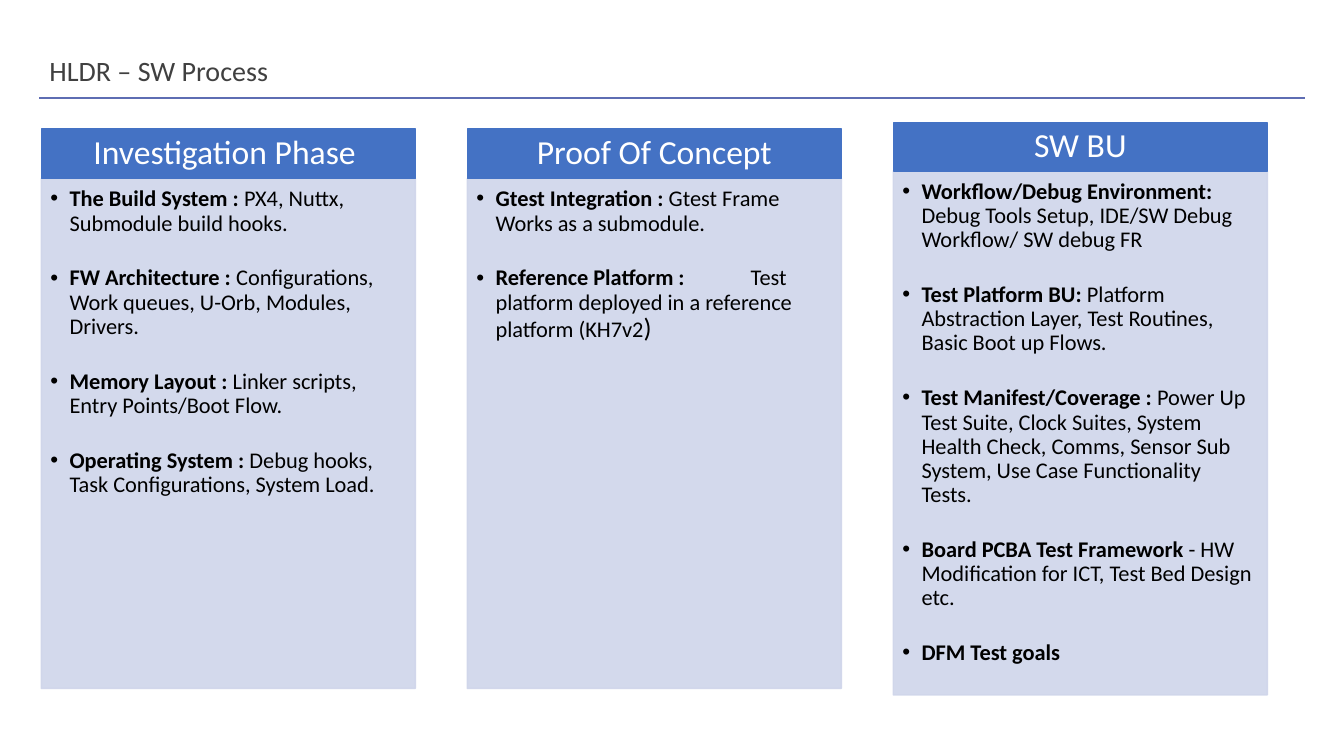
from dataclasses import dataclass
from typing import NamedTuple

from lxml import etree
from pptx import Presentation
from pptx import util as u
from pptx.dml import color
from pptx.enum import shapes, text
from pptx.oxml import ns


@dataclass(frozen=True)
class Theme:
    font: str = "Calibri"
    title_color: str = "404040"
    rule_color: str = "5E6DB3"
    head_fill: str = "4472C4"
    head_color: str = "FFFFFF"
    body_fill: str = "CFD5EA"
    body_color: str = "000000"
    body_alpha: int = 90000
    title_size: int = 20
    head_size: int = 24
    body_size: int = 16
    bracket_size: int = 19
    item_gap: int = 22


class Item(NamedTuple):
    topic: str
    detail: str = ""
    ending: str = ""  # larger closing characters


@dataclass(frozen=True)
class Phase:
    heading: str
    items: list[Item]
    top: float = 1.28
    head_height: float = 0.49
    body_height: float = 5.06


THEME = Theme()
LEFT, PITCH, WIDTH = 0.41, 4.225, 3.71
INDENT = 0.19
TAB_STOP = 2.72

PHASES = [
    Phase("Investigation Phase ", [
        Item("The Build System :", " PX4, Nuttx, Submodule build hooks."),
        Item("FW Architecture :", " Configurations, Work queues, U-Orb, Modules, Drivers."),
        Item("Memory Layout : ", "Linker scripts, Entry Points/Boot Flow."),
        Item("Operating System : ", "Debug hooks, Task Configurations, System Load."),
    ]),
    Phase("Proof Of Concept", [
        Item("Gtest Integration : ", "Gtest Frame Works as a submodule."),
        Item("Reference Platform :",
             "\tTest platform deployed in a reference platform (KH7v2", ")"),
    ]),
    Phase("SW BU", [
        Item("Workflow/Debug Environment: ",
             "Debug Tools Setup, IDE/SW Debug Workflow/ SW debug FR"),
        Item("Test Platform BU: ",
             "Platform Abstraction Layer, Test Routines, Basic Boot up Flows."),
        Item("Test Manifest/Coverage :",
             " Power Up Test Suite, Clock Suites, System Health Check, Comms, "
             "Sensor Sub System, Use Case Functionality Tests."),
        Item("Board PCBA Test Framework ",
             "- HW Modification for ICT, Test Bed Design etc."),
        Item("DFM Test goals"),
    ], top=1.22, head_height=0.475, body_height=5.2),
]


def place(box, left: float, top: float, width: float, height: float) -> None:
    box.left, box.top = u.Inches(left), u.Inches(top)
    box.width, box.height = u.Inches(width), u.Inches(height)


def paint(box, shade: str) -> None:
    box.fill.solid()
    box.fill.fore_color.rgb = color.RGBColor.from_string(shade)
    box.line.color.rgb = color.RGBColor.from_string(shade)
    box.line.width = u.Pt(1)


def set_frame(box, anchor, insets: tuple[float, float, float, float]):
    frame = box.text_frame
    frame.word_wrap = True
    frame.auto_size = text.MSO_AUTO_SIZE.NONE
    frame.vertical_anchor = anchor
    (frame.margin_left, frame.margin_top,
     frame.margin_right, frame.margin_bottom) = map(u.Inches, insets)
    return frame


def set_para(para, alignment, after: float = 0) -> None:
    para.alignment = alignment
    para.line_spacing = 0.9
    para.space_before = u.Pt(0)
    para.space_after = u.Pt(after)


def add_span(para, words: str, size: int, shade: str, bold: bool = False) -> None:
    span = para.add_run()
    span.text = words
    span.font.name = THEME.font
    span.font.size = u.Pt(size)
    span.font.bold = bold
    span.font.color.rgb = color.RGBColor.from_string(shade)


def add_bullet(para) -> None:
    props = para._p.get_or_add_pPr()
    props.set("marL", str(u.Inches(INDENT)))
    props.set("indent", str(-u.Inches(INDENT)))
    etree.SubElement(props, ns.qn("a:buFont"), typeface="Arial")
    etree.SubElement(props, ns.qn("a:buChar"), char="•")
    tabs = etree.SubElement(props, ns.qn("a:tabLst"))
    etree.SubElement(tabs, ns.qn("a:tab"), pos=str(u.Inches(TAB_STOP)), algn="l")


def draw_title(page) -> None:
    box = page.shapes.title
    place(box, 0.39, 0.52, 2.52, 0.43)
    frame = set_frame(box, text.MSO_ANCHOR.TOP, (0.1, 0.05, 0.1, 0.05))
    para = frame.paragraphs[0]
    set_para(para, text.PP_ALIGN.JUSTIFY, 2)
    add_span(para, "HLDR – SW Process", THEME.title_size, THEME.title_color)


def draw_rule(page) -> None:
    rule = page.shapes.add_connector(
        shapes.MSO_CONNECTOR.STRAIGHT,
        u.Inches(0.39), u.Inches(0.97), u.Inches(12.94), u.Inches(0.97))
    rule.line.color.rgb = color.RGBColor.from_string(THEME.rule_color)
    rule.line.width = u.Pt(1.25)
    etree.SubElement(rule._element.spPr, ns.qn("a:effectLst"))


def draw_heading(page, phase: Phase, left: float) -> None:
    box = page.shapes.add_shape(shapes.MSO_SHAPE.RECTANGLE, 0, 0, 0, 0)
    place(box, left, phase.top, WIDTH, phase.head_height)
    box.shadow.inherit = False
    paint(box, THEME.head_fill)
    frame = set_frame(box, text.MSO_ANCHOR.MIDDLE, (0.19, 0.11, 0.19, 0.11))
    para = frame.paragraphs[0]
    set_para(para, text.PP_ALIGN.CENTER)
    add_span(para, phase.heading, THEME.head_size, THEME.head_color)


def draw_list(box, phase: Phase, left: float) -> None:
    place(box, left, phase.top + phase.head_height, WIDTH, phase.body_height)
    paint(box, THEME.body_fill)
    for tint in box._element.spPr.iter(ns.qn("a:srgbClr")):
        etree.SubElement(tint, ns.qn("a:alpha"), val=str(THEME.body_alpha))
    frame = set_frame(box, text.MSO_ANCHOR.TOP, (0.09, 0.09, 0.12, 0.14))
    for index, item in enumerate(phase.items):
        para = frame.add_paragraph() if index else frame.paragraphs[0]
        set_para(para, text.PP_ALIGN.LEFT, THEME.item_gap)
        add_bullet(para)
        add_span(para, item.topic, THEME.body_size, THEME.body_color, bold=True)
        if item.detail:
            add_span(para, item.detail, THEME.body_size, THEME.body_color)
        if item.ending:
            add_span(para, item.ending, THEME.bracket_size, THEME.body_color)


def main() -> None:
    deck = Presentation()
    deck.slide_width, deck.slide_height = u.Inches(13.33), u.Inches(7.5)
    # The comparison layout has a title and four bodies
    page = deck.slides.add_slide(deck.slide_layouts[4])
    draw_title(page)
    draw_rule(page)

    # One column per phase
    bodies = list(page.placeholders)[1:]
    for column, (phase, body) in enumerate(zip(PHASES, bodies)):
        left = LEFT + column * PITCH
        draw_list(body, phase, left)
        draw_heading(page, phase, left)

    # Unused bodies
    for spare in bodies[len(PHASES):]:
        spare._element.getparent().remove(spare._element)

    deck.save("out.pptx")


if __name__ == "__main__":
    main()
